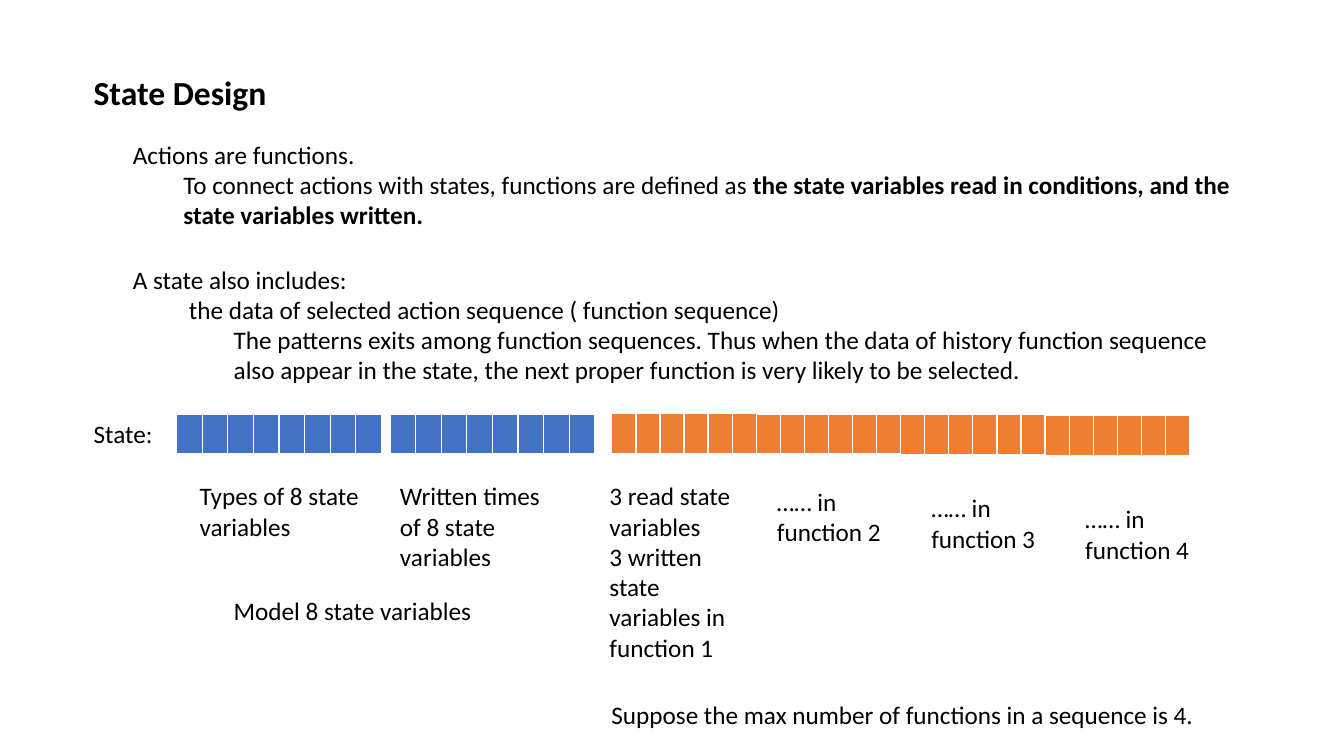
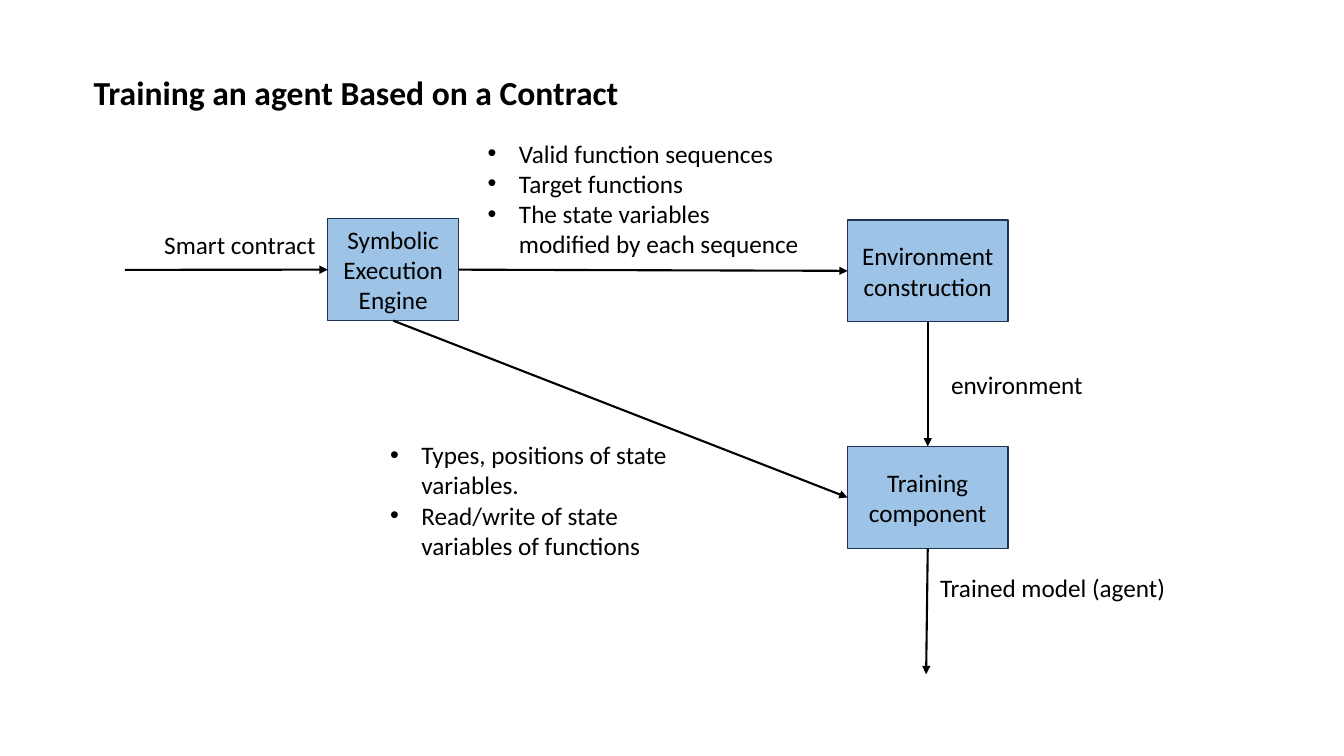
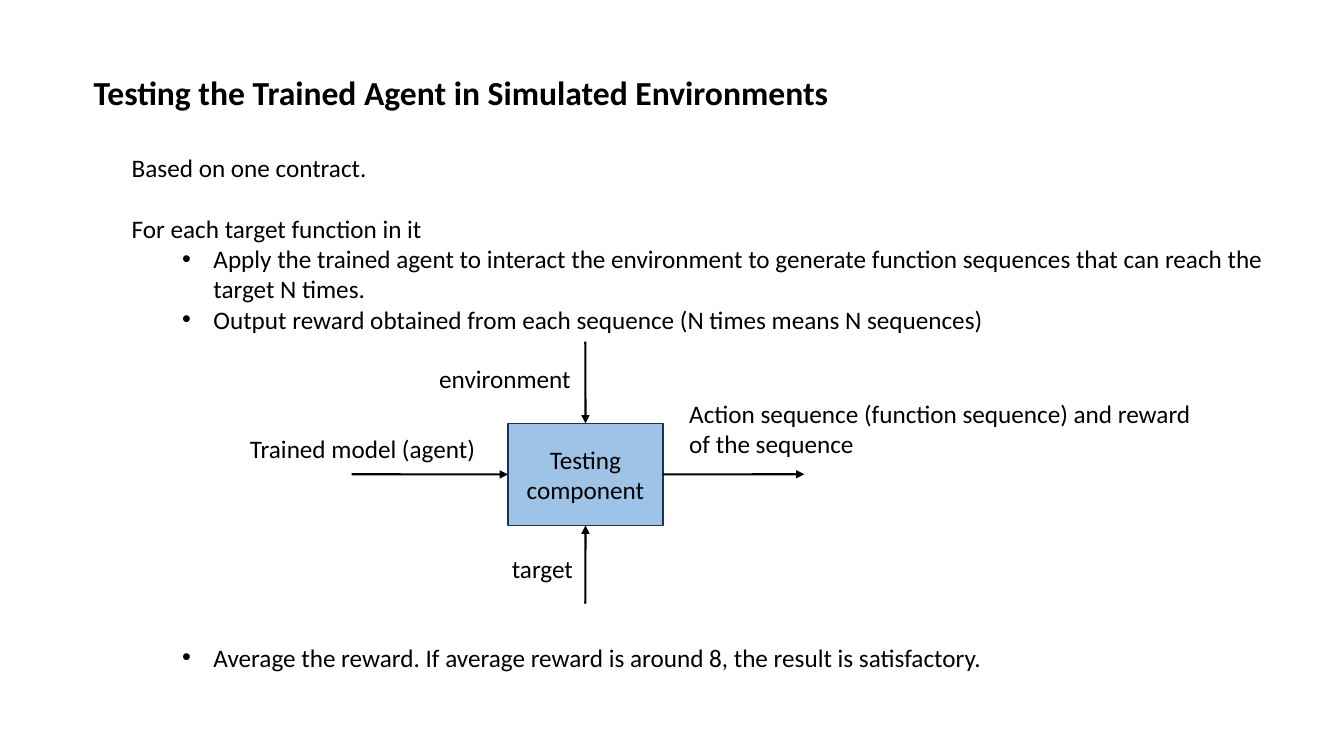
from lxml import etree
from pptx import Presentation
from pptx.dml.color import RGBColor
from pptx.enum.shapes import MSO_CONNECTOR, MSO_SHAPE
from pptx.enum.text import MSO_ANCHOR, MSO_AUTO_SIZE, PP_ALIGN
from pptx.oxml.ns import qn
from pptx.util import Cm, Pt

RECTANGLE = MSO_SHAPE.RECTANGLE
STRAIGHT = MSO_CONNECTOR.STRAIGHT
MIDDLE = MSO_ANCHOR.MIDDLE
GROW = MSO_AUTO_SIZE.SHAPE_TO_FIT_TEXT
CENTER, LEFT_ALIGN = PP_ALIGN.CENTER, PP_ALIGN.LEFT
TOP, LEFT, BOTTOM, RIGHT = range(4)  # connection sites of a rectangle

COLORS = {
    "text": "000000", "box": "9DC3E6", "outline": "1E3256",
    "model": "4472C4", "sequence": "ED7D31", "grid": "FFFFFF",
}
FONT = "Calibri"
BODY_SIZE, TITLE_SIZE = 18, 24
LINE_HEIGHT = 22  # points, one line of body text
TITLE_PLACE = (2.11, 1.68, 25, 1.27)
LEVEL_INDENT, BULLET_INDENT = 1.27, 0.79


def para(*runs, level=0, bullet=False, gap_lines=0):
    """A paragraph; a run is a string, or (string, True) for bold."""
    return {"runs": runs, "level": level, "bullet": bullet, "gap": gap_lines}


def bullets(*texts, level=0):
    return [para(text, level=level, bullet=True) for text in texts]


# Content: places are left, top, width, height in cm
SLIDES = [
    {
        "title": "State Design",
        "texts": [
            ((3.1, 3.38, 28.65, 2.57), [
                para("Actions are functions."),
                para("To connect actions with states, functions are defined as ",
                     ("the state variables read in conditions, and the state "
                      "variables written.", True), level=1)]),
            ((3.1, 6.53, 28.65, 4.11), [
                para("A state also includes:"),
                para(" the data of selected action sequence ( function sequence)",
                     level=1),
                para("The patterns exits among function sequences. Thus when the "
                     "data of history function sequence also appear in the state, "
                     "the next proper function is very likely to be selected.",
                     level=2)]),
            ((2.11, 10.41, 2.2, 1.02), [para("State:")]),
            ((4.78, 11.99, 4.62, 1.8), [para("Types of 8 state variables")]),
            ((9.83, 11.99, 4.62, 2.57), [para("Written times of 8 state variables")]),
            ((15.11, 11.99, 3.96, 4.88), [
                para("3 read state variables"),
                para("3 written state variables in function 1")]),
            ((19.33, 12.12, 3.96, 1.8), [para("…… in function 2")]),
            ((23.22, 12.29, 3.96, 1.8), [para("…… in function 3")]),
            ((27.1, 12.57, 3.15, 1.8), [para("…… in function 4")]),
            ((5.64, 14.88, 7.54, 1.02), [para("Model 8 state variables")]),
            ((15.16, 17.5, 16.23, 1.02),
             [para("Suppose the max number of functions in a sequence is 4.")]),
        ],
        # left, top, step right, step down, tables, cells, table width, height, color
        "vectors": [
            (4.45, 10.44, 5.38, 0, 2, 8, 5.16, 1, "model"),
            (15.42, 10.41, 3.64, 0.02, 4, 6, 3.64, 1.04, "sequence"),
        ],
    },
    {
        "title": "Training an agent Based on a Contract",
        "texts": [
            ((3.89, 5.66, 4.37, 1.02), [para("Smart contract")]),
            ((12.04, 3.35, 8.38, 3.33), bullets(
                "Valid function sequences", "Target functions",
                "The state variables modified by each sequence")),
            ((23.72, 9.17, 3.86, 1.02), [para("environment")]),
            ((9.58, 10.95, 8.38, 3.33), bullets(
                "Types, positions of state variables.",
                "Read/write of state variables of functions")),
            ((23.44, 14.3, 7.32, 1.02), [para("Trained model (agent)")]),
        ],
        "boxes": {
            "engine": ((8.26, 5.51, 3.3, 2.57), [para("Symbolic Execution Engine")]),
            "environment": ((21.36, 5.54, 4.04, 2.57),
                            [para("Environment construction")]),
            "training": ((21.36, 11.25, 4.04, 2.57), [para("Training component")]),
        },
        # an end is a point in cm, or a box and its connection site
        "arrows": [
            ((3.15, 6.8), ("engine", LEFT)),
            (("engine", RIGHT), ("environment", LEFT)),
            (("environment", BOTTOM), ("training", TOP)),
            (("engine", BOTTOM), ("training", LEFT)),
            (("training", BOTTOM), (23.34, 16.99)),
        ],
    },
    {
        "title": "Testing the Trained Agent in Simulated Environments",
        "texts": [
            ((3.07, 3.71, 30.4, 14.1), [
                para("Based on one contract."),
                para("For each target function in it", gap_lines=1),
                *bullets(
                    "Apply the trained agent to interact the environment to generate "
                    "function sequences that can reach the target N times.",
                    "Output reward obtained from each sequence "
                    "(N times means N sequences)", level=1),
                para("Average the reward. If average reward is around 8, "
                     "the result is satisfactory.",
                     level=1, bullet=True, gap_lines=10)]),
            ((6.05, 10.8, 6.6, 1.02), [para("Trained model (agent)")]),
            ((10.82, 9.02, 3.94, 1.02), [para("environment")]),
            ((12.65, 13.82, 2.87, 1.02), [para("target")]),
            ((17.12, 9.91, 13.34, 1.8), [
                para("Action sequence (function sequence) and reward "
                     "of the sequence")]),
        ],
        "boxes": {
            "testing": ((12.8, 10.67, 3.91, 2.57),
                        [para("Testing"), para("component")]),
        },
        "arrows": [
            ((8.86, 11.95), ("testing", LEFT)),
            ((14.75, 8.61), ("testing", TOP)),
            ((14.75, 15.21), ("testing", BOTTOM)),
            (("testing", RIGHT), (20.27, 11.95)),
        ],
    },
]


def rgb(name):
    return RGBColor.from_string(COLORS[name])


def place_cm(place):
    return [Cm(value) for value in place]


def write(frame, paragraphs, size=BODY_SIZE, align=LEFT_ALIGN):
    frame.word_wrap = True
    for index, item in enumerate(paragraphs):
        paragraph = frame.paragraphs[0] if index == 0 else frame.add_paragraph()
        paragraph.alignment = align
        paragraph.level = item["level"]
        paragraph.space_before = Pt(item["gap"] * LINE_HEIGHT)
        properties = paragraph._p.get_or_add_pPr()
        hanging = BULLET_INDENT if item["bullet"] else 0
        properties.set("marL", str(Cm(item["level"] * LEVEL_INDENT + hanging)))
        properties.set("indent", str(Cm(-hanging)))
        if item["bullet"]:
            etree.SubElement(properties, qn("a:buFont"), typeface="Arial")
            etree.SubElement(properties, qn("a:buChar"), char="•")
        for part in item["runs"]:
            text, bold = (part, False) if isinstance(part, str) else part
            run = paragraph.add_run()
            run.text = text
            run.font.name, run.font.size, run.font.bold = FONT, Pt(size), bold
            run.font.color.rgb = rgb("text")


def add_text(slide, place, paragraphs, size=BODY_SIZE):
    frame = slide.shapes.add_textbox(*place_cm(place)).text_frame
    write(frame, paragraphs, size)
    frame.auto_size = GROW


def add_box(slide, place, paragraphs):
    shape = slide.shapes.add_shape(RECTANGLE, *place_cm(place))
    shape.shadow.inherit = False
    shape.fill.solid()
    shape.fill.fore_color.rgb = rgb("box")
    shape.line.color.rgb = rgb("outline")
    shape.line.width = Pt(1)
    shape.text_frame.vertical_anchor = MIDDLE
    write(shape.text_frame, paragraphs, align=CENTER)
    return shape


def add_arrow(slide, start, end, boxes):
    points = [Cm(0) if isinstance(value, str) else Cm(value)
              for value in start + end]
    arrow = slide.shapes.add_connector(STRAIGHT, *points)
    if start[0] in boxes:
        arrow.begin_connect(boxes[start[0]], start[1])
    if end[0] in boxes:
        arrow.end_connect(boxes[end[0]], end[1])
    arrow.line.color.rgb = rgb("text")
    arrow.line.width = Pt(1.5)
    etree.SubElement(arrow.line._get_or_add_ln(), qn("a:tailEnd"), type="triangle")
    etree.SubElement(arrow._element.spPr, qn("a:effectLst"))


def add_border(cell, position, side, points):
    line = etree.Element(qn("a:ln" + side), w=str(Pt(points)))
    fill = etree.SubElement(line, qn("a:solidFill"))
    etree.SubElement(fill, qn("a:srgbClr"), val=COLORS["grid"])
    cell._tc.get_or_add_tcPr().insert(position, line)


def add_vector(slide, place, cells, color):
    table = slide.shapes.add_table(1, cells, *place_cm(place)).table
    table.first_row = table.horz_banding = False
    for column, cell in zip(table.columns, table.rows[0].cells):
        column.width = Cm(place[2] / cells)
        cell.margin_left = cell.margin_right = 0
        cell.fill.solid()
        cell.fill.fore_color.rgb = rgb(color)
        for position, (side, points) in enumerate(zip("LRTB", (1, 1, 1, 3))):
            add_border(cell, position, side, points)


def build_slide(presentation, content):
    slide = presentation.slides.add_slide(presentation.slide_layouts[6])
    add_text(slide, TITLE_PLACE, [para((content["title"], True))], TITLE_SIZE)
    for left, top, right, down, count, cells, width, height, color in content.get(
            "vectors", []):
        for index in range(count):
            place = (left + index * right, top + index * down, width, height)
            add_vector(slide, place, cells, color)
    for place, paragraphs in content["texts"]:
        add_text(slide, place, paragraphs)
    boxes = {name: add_box(slide, *box)
             for name, box in content.get("boxes", {}).items()}
    for start, end in content.get("arrows", []):
        add_arrow(slide, start, end, boxes)


def main():
    presentation = Presentation()
    presentation.slide_width, presentation.slide_height = Cm(33.87), Cm(19.05)
    for content in SLIDES:
        build_slide(presentation, content)
    presentation.save("out.pptx")


if __name__ == "__main__":
    main()
